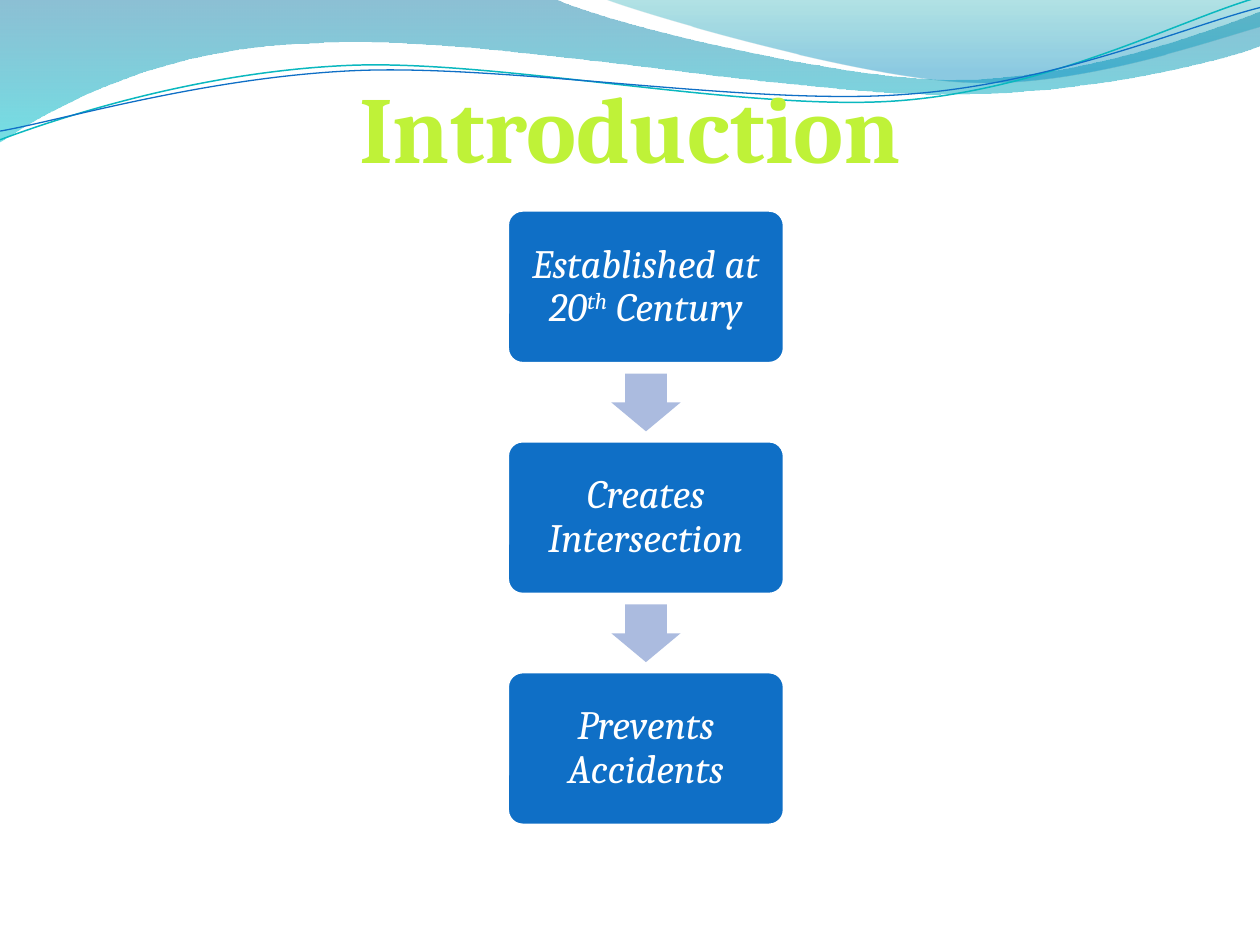
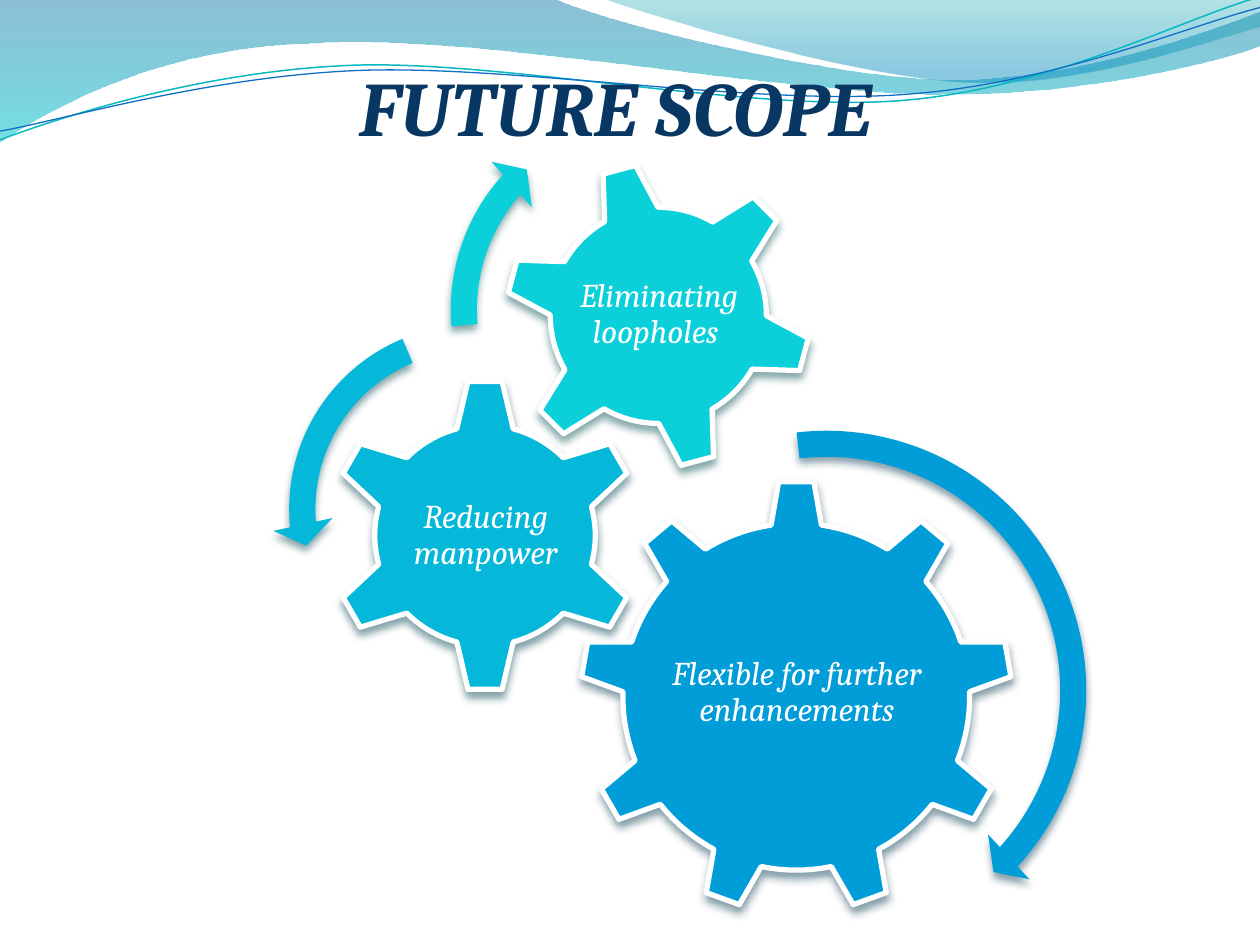
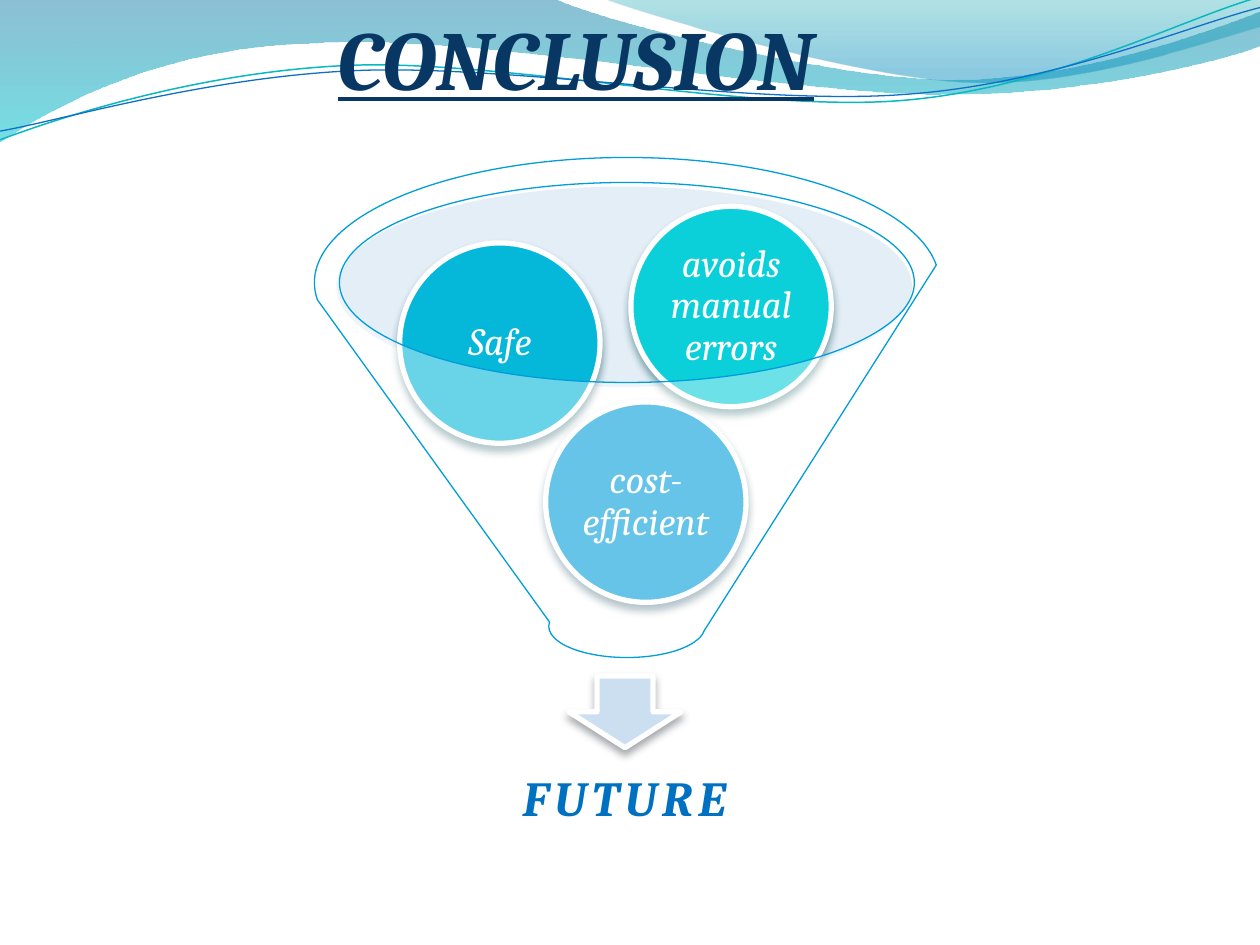
from lxml import etree
from pptx import Presentation
from pptx.dml.color import RGBColor
from pptx.enum.shapes import MSO_SHAPE
from pptx.enum.text import MSO_ANCHOR, MSO_AUTO_SIZE, PP_ALIGN
from pptx.oxml.ns import qn
from pptx.util import Pt

ROUNDED, RIGHT_ARROW, DOWN_ARROW = MSO_SHAPE.ROUNDED_RECTANGLE, MSO_SHAPE.RIGHT_ARROW, MSO_SHAPE.DOWN_ARROW
GEAR_6, GEAR_9, OVAL, FUNNEL = MSO_SHAPE.GEAR_6, MSO_SHAPE.GEAR_9, MSO_SHAPE.OVAL, MSO_SHAPE.FUNNEL
TURN, LEFT_TURN = MSO_SHAPE.CIRCULAR_ARROW, MSO_SHAPE.LEFT_CIRCULAR_ARROW
MIDDLE, TOP = MSO_ANCHOR.MIDDLE, MSO_ANCHOR.TOP
CENTER, LEFT = PP_ALIGN.CENTER, PP_ALIGN.LEFT
NO_AUTOFIT = MSO_AUTO_SIZE.NONE

FONT = "Cambria"
COLORS = {
    "white": "FFFFFF", "lime": "BFF238", "navy": "083763", "box": "0F6FC6",
    "step": "ABBBDF", "blue": "009DD9", "sky": "05B7D9", "aqua": "0BD0D9",
    "mouth": "BDD5ED", "outlet": "CCDFF1", "future": "0070C0",
    "wave_teal": "0AB8BF", "wave_blue": "0F6FC6",
    "band_top": "0074A1", "band_end": "00C6CF", "crest_top": "00A1A9", "crest_end": "008BBF",
}
SHADOWS = {"blue": "00374C", "sky": "00424E", "aqua": "024B4E", "outlet": "474E55"}


def add_part(slide, kind, box, fill, line=None, width=0, shadow=False, opacity=None, adjust=()):
    part = slide.shapes.add_shape(kind, *map(Pt, box))
    for index, percent in enumerate(adjust):
        part.adjustments[index] = percent / 100
    part.fill.solid()
    part.fill.fore_color.rgb = RGBColor.from_string(COLORS[fill])
    if opacity:
        color = next(part.element.spPr.iter(qn("a:srgbClr")))
        etree.SubElement(color, qn("a:alpha"), val=str(opacity * 1000))
    if line:
        part.line.color.rgb = RGBColor.from_string(COLORS[line])
        part.line.width = Pt(width)
    else:
        part.line.fill.background()
    part.shadow.inherit = False
    if shadow:
        effects = part.element.spPr.find(qn("a:effectLst"))
        outer = etree.SubElement(effects, qn("a:outerShdw"), blurRad=str(Pt(4.5)),
                                 dist=str(Pt(3)), dir="5400000", rotWithShape="0")
        color = etree.SubElement(outer, qn("a:srgbClr"), val=SHADOWS[fill])
        etree.SubElement(color, qn("a:alpha"), val="48000")
    return part


def write(holder, texts, size, color="white", inset=2.16, bold=False, spacing=0.9):
    frame = holder.text_frame
    frame.word_wrap = True
    frame.auto_size = NO_AUTOFIT
    frame.vertical_anchor = MIDDLE
    frame.margin_left = frame.margin_right = frame.margin_top = frame.margin_bottom = Pt(inset)
    paragraph = frame.paragraphs[0]
    paragraph.alignment = CENTER
    paragraph.line_spacing = spacing
    for text in texts:
        run = paragraph.add_run()
        run.text = text
        run.font.name = FONT
        run.font.size = Pt(size)
        run.font.bold = bold
        run.font.italic = True
        run.font.color.rgb = RGBColor.from_string(COLORS[color])
    return paragraph


prs = Presentation()
prs.slide_width, prs.slide_height = Pt(720), Pt(540)
layout = prs.slide_layouts[5]
for placeholder in list(layout.placeholders)[1:]:
    layout.shapes.element.remove(placeholder.element)

titles = [
    ("Introduction", (185.8, 36, 348.5, 72.7), 54, "lime", CENTER, False, False),
    ("FUTURE SCOPE", (198, 30.2, 339.8, 60.5), 44, "navy", LEFT, True, False),
    ("CONCLUSION", (185.8, 0, 354.2, 65.5), 48, "navy", LEFT, True, True),
]
slides = []
for text, box, size, color, alignment, italic, underline in titles:
    slide = prs.slides.add_slide(layout)
    slides.append(slide)
    title = slide.shapes.title
    title.left, title.top, title.width, title.height = map(Pt, box)
    paragraph = write(title, [text], size, color, bold=True, spacing=1)
    paragraph.alignment = alignment
    paragraph.runs[0].font.italic = italic
    paragraph.runs[0].font.underline = underline
    frame = title.text_frame
    frame.vertical_anchor = TOP
    frame.margin_left = frame.margin_right = Pt(7.2)
    frame.margin_top = frame.margin_bottom = Pt(3.6)
introduction, scope, conclusion = slides

waves = [
    ((0, 0), [[(316.8, -0.7)],
              [(342.7, 12.2), (478.1, 45.4), (545.8, 45.4)],
              [(614.2, 45.4), (689.8, 18.7), (720, 6.5)],
              [(720.7, 25.9)],
              [(707.8, 31.7), (626.4, 54.7), (537.1, 54)],
              [(447.8, 54), (275, 20.2), (185, 24.5)],
              [(92.9, 25.9), (33.1, 59.8), (-0.7, 81.4)],
              [(0, 0)]],
     [(0, "band_top", 45), (1, "band_end", 55)], None, 0),
    ((344.9, -0.7), [[(366.5, 7.9), (491, 44.6), (553.7, 46.8)],
                     [(616.3, 49.7), (691.9, 23), (720, 15.1)],
                     [(720, 0)],
                     [(344.9, -0.7)]],
     [(0, "crest_top", 30), (0.8, "crest_end", 45)], None, 0),
    ((0, 79.9), [[(34.6, 67), (113.8, 41), (199.4, 37.4)],
                 [(284.4, 33.8), (427, 64.1), (513.4, 57.6)],
                 [(599.8, 51.1), (675.4, 10.8), (718.6, -1.4)]],
     None, "wave_teal", 0.85),
    ((0, 74.9), [[(33.8, 69.1), (118.1, 43.9), (203.8, 40.3)],
                 [(290.2, 36.7), (429.8, 60.5), (516.2, 54)],
                 [(601.9, 48.2), (677.5, 15.1), (720, 4.3)]],
     None, "wave_blue", 0.75),
]
wave_shapes = []
for start, segments, gradient, line, width in waves:
    builder = introduction.shapes.build_freeform(*map(Pt, start))
    vertices = [(Pt(x), Pt(y)) for segment in segments for x, y in segment]
    builder.add_line_segments(vertices, close=gradient is not None)
    wave = builder.convert_to_shape()
    steps = iter(list(wave.element.spPr.iter(qn("a:lnTo"))))
    for segment in segments:
        first, *others = [next(steps) for _ in segment]
        if others:
            curve = etree.Element(qn("a:cubicBezTo"))
            first.addprevious(curve)
            for step in (first, *others):
                curve.append(step[0])
                step.getparent().remove(step)
    wave.shadow.inherit = False
    if gradient:
        wave.line.fill.background()
        wave.fill.gradient()
        wave.fill.gradient_angle = 270
        for stop, (position, color, _) in zip(wave.fill.gradient_stops, gradient):
            stop.position = position
            stop.color.rgb = RGBColor.from_string(COLORS[color])
        for color, (_, _, opacity) in zip(wave.element.spPr.iter(qn("a:srgbClr")), gradient):
            etree.SubElement(color, qn("a:alpha"), val=str(opacity * 1000))
    else:
        wave.fill.background()
        wave.line.color.rgb = RGBColor.from_string(COLORS[line])
        wave.line.width = Pt(width)
    wave_shapes.append(wave)
for wave in wave_shapes:
    layout.shapes.element.append(wave.element)

milestones = [["Established at 20", "th", " Century"], ["Creates Intersection"], ["Prevents Accidents"]]
MILESTONE_STEP = 131.9
for index, texts in enumerate(milestones):
    top = 120 + index * MILESTONE_STEP
    milestone = add_part(introduction, ROUNDED, (289.9, top, 158.4, 87.8), "box", "white", 2, adjust=[10])
    runs = write(milestone, texts, 23, inset=7.2).runs
    if len(runs) > 1:
        runs[1].font._element.set("baseline", "30000")
    if index < len(milestones) - 1:
        step_arrow = add_part(introduction, RIGHT_ARROW, (352.6, top + 90.2, 33, 39.6), "step", adjust=[60, 50])
        step_arrow.rotation = 90

gears = [
    (GEAR_9, (331.2, 274.3, 247.7), "blue", 0, "Flexible for further enhancements", (381.2, 332.2, 148.3, 127.4)),
    (GEAR_6, (187.2, 216, 180), "sky", 0, "Reducing manpower", (232.9, 261.7, 89.3, 88.6)),
    (GEAR_6, (288, 92, 176.4), "aqua", 345, "Eliminating loopholes ", (326.9, 130.3, 99.4, 99.4)),
]
for kind, (left, top, side), color, rotation, text, label_box in gears:
    gear = add_part(scope, kind, (left, top, side, side), color, "white", 3, shadow=True)
    gear.rotation = rotation
    write(scope.shapes.add_textbox(*map(Pt, label_box)), [text], 19)

turns = [
    (TURN, (313.9, 236.2, 316.8), "blue", [4.7, 299, 2543.5, 15803.5, 5.5]),
    (LEFT_TURN, (155.5, 175.7, 230.4), "sky", [6.5, 430, 10489.1, 14837.8, 7.5]),
    (TURN, (247.7, 52.6, 248.4), "aqua", [6, 394.1, 13313.8, 10508.2, 7]),
]
for kind, (left, top, side), color, adjust in turns:
    add_part(scope, kind, (left, top, side, side), color, shadow=True, adjust=adjust)

add_part(conclusion, OVAL, (192.2, 106.6, 329, 114.5), "mouth", opacity=40)
add_part(conclusion, DOWN_ARROW, (325.1, 386.3, 64.1, 41), "outlet", "white", 3, shadow=True)
outcome = conclusion.shapes.add_textbox(Pt(203.8), Pt(419.4), Pt(306), Pt(76.3))
outcome_run = write(outcome, ["FUTURE"], 28, "future", inset=15.84, bold=True).runs[0]
outcome_run.font._element.set("spc", "300")

benefits = [("cost-efficient", 311.8, 229.7, "blue"), ("Safe", 228.4, 138.8, "sky"),
            ("avoids manual errors", 360.5, 117.9, "aqua")]
for text, left, top, color in benefits:
    benefit = add_part(conclusion, OVAL, (left, top, 114.5, 114.5), color, "white", 3, shadow=True)
    write(benefit, [text], 22)
add_part(conclusion, FUNNEL, (179.7, 90, 357.1, 285.8), "white", "blue", 0.75, opacity=40)

prs.save("out.pptx")
